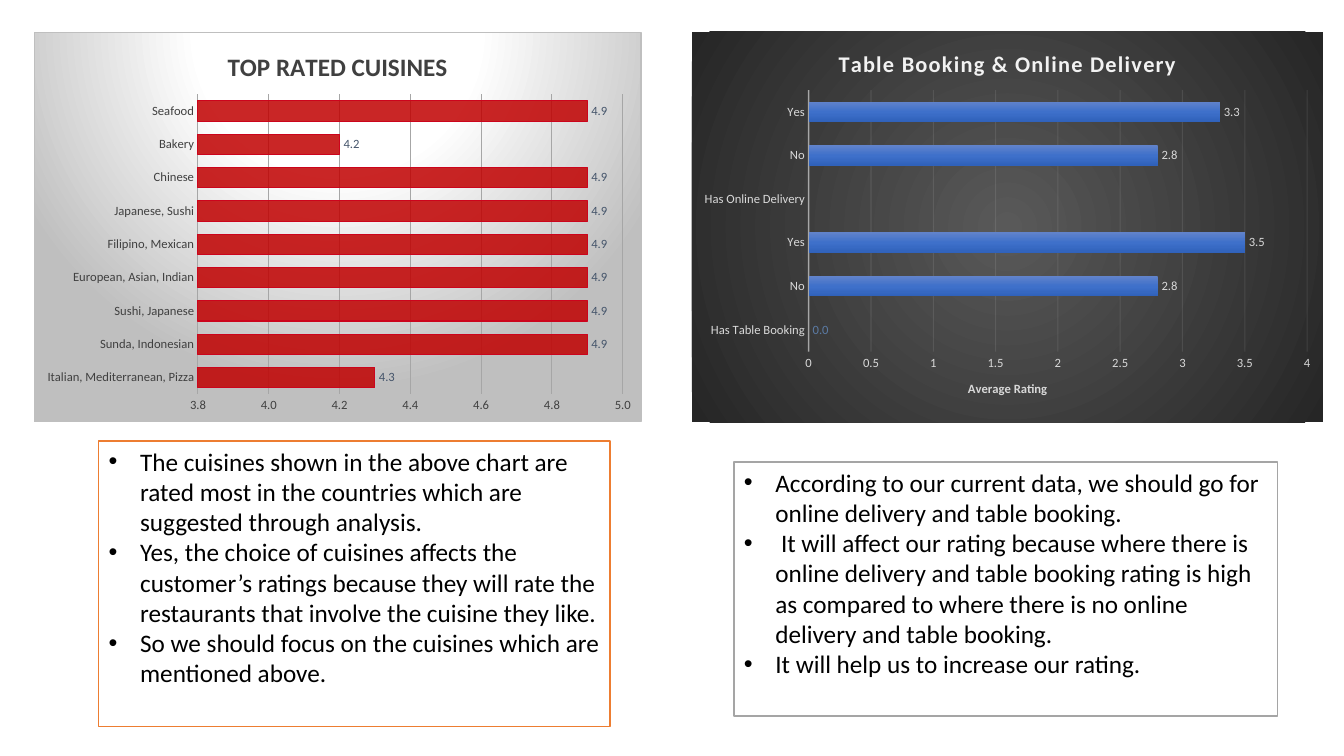
from dataclasses import dataclass
from typing import Optional

from pptx import Presentation
from pptx.chart.axis import CategoryAxis, ValueAxis
from pptx.chart.chart import Chart
from pptx.chart.data import CategoryChartData
from pptx.dml.color import RGBColor
from pptx.enum.chart import XL_CHART_TYPE as ChartType
from pptx.enum.chart import XL_LABEL_POSITION as LabelPosition
from pptx.enum.chart import XL_TICK_MARK as TickMark
from pptx.oxml import parse_xml
from pptx.oxml.ns import nsdecls, qn
from pptx.slide import Slide
from pptx.text.text import Font
from pptx.util import Emu, Pt

EMU_PER_PX = 9525
FONT_NAME = "Calibri"
BLACK = RGBColor(0x00, 0x00, 0x00)
WHITE = RGBColor(0xFF, 0xFF, 0xFF)
CHARCOAL = RGBColor(0x40, 0x40, 0x40)
DARK_GRAY = RGBColor(0x59, 0x59, 0x59)
NEAR_BLACK = RGBColor(0x26, 0x26, 0x26)
GRID_GRAY = RGBColor(0xA6, 0xA6, 0xA6)
BOX_GRAY = RGBColor(0xA5, 0xA5, 0xA5)
SILVER = RGBColor(0xBF, 0xBF, 0xBF)
PALE_GRAY = RGBColor(0xD9, 0xD9, 0xD9)
OFF_WHITE = RGBColor(0xF2, 0xF2, 0xF2)
ORANGE = RGBColor(0xED, 0x7D, 0x31)
SLATE = RGBColor(0x44, 0x54, 0x6A)
STEEL_BLUE = RGBColor(0x5B, 0x7B, 0xA5)
RED = RGBColor(0xC0, 0x00, 0x00)
RED_EDGE = RGBColor(0xCC, 0x04, 0x1C)
LIGHT_BLUE = RGBColor(0x61, 0x83, 0xCB)
BLUE = RGBColor(0x3E, 0x70, 0xCA)
DEEP_BLUE = RGBColor(0x30, 0x62, 0xBB)

Stops = list[tuple[int, RGBColor]]


@dataclass(frozen=True)
class Box:
    left: int
    top: int
    width: int
    height: int

    def emu(self) -> tuple[Emu, ...]:
        return tuple(px(n) for n in (self.left, self.top, self.width, self.height))


@dataclass(frozen=True)
class RatingChart:
    box: Box
    title: str
    title_size: int
    title_color: RGBColor
    title_spacing: int
    ratings: list[tuple[str, Optional[float]]]
    plot_layout: tuple[float, float, float, float]
    scale: tuple[float, float, float]
    axis_format: str
    gap: int
    overlap: int
    text_color: RGBColor
    label_color: RGBColor
    grid_color: RGBColor
    grid_opacity: int
    background: Stops
    focus: tuple[int, int, int, int]


@dataclass(frozen=True)
class Notes:
    box: Box
    border: RGBColor
    bullets: list[str]


CUISINES = RatingChart(
    Box(32, 30, 579, 372), "TOP RATED CUISINES", 18, CHARCOAL, 0,
    [("Italian, Mediterranean, Pizza", 4.3), ("Sunda, Indonesian", 4.9),
     ("Sushi, Japanese", 4.9), ("European, Asian, Indian", 4.9),
     ("Filipino, Mexican", 4.9), ("Japanese, Sushi", 4.9),
     ("Chinese", 4.9), ("Bakery", 4.2), ("Seafood", 4.9)],
    (0.27, 0.16, 0.7, 0.77), (3.8, 5, 0.2), "0.0", 65, 0,
    CHARCOAL, SLATE, GRID_GRAY, 100,
    [(0, WHITE), (39, WHITE), (100, SILVER)], (50, -80, 50, 180))
SERVICES = RatingChart(
    Box(659, 30, 601, 372), "Table Booking & Online Delivery", 16, OFF_WHITE, 100,
    [("Has Table Booking", 0), ("No", 2.8), ("Yes", 3.5),
     ("Has Online Delivery", None), ("No", 2.8), ("Yes", 3.3)],
    (0.185, 0.15, 0.79, 0.67), (0, 4, 0.5), "General", 115, -20,
    PALE_GRAY, PALE_GRAY, OFF_WHITE, 10,
    [(0, DARK_GRAY), (100, NEAR_BLACK)], (50, 50, 50, 50))
NOTES = [
    Notes(Box(94, 420, 487, 272), ORANGE, [
        "The cuisines shown in the above chart are rated most in the countries which are suggested through analysis.",
        "Yes, the choice of cuisines affects the customer’s ratings because they will rate the restaurants that involve the cuisine they like.",
        "So we should focus on the cuisines which are mentioned above."]),
    Notes(Box(699, 440, 518, 242), BOX_GRAY, [
        "According to our current data, we should go for online delivery and table booking.",
        " It will affect our rating because where there is online delivery and table booking rating is high as compared to where there is no online delivery and table booking.",
        "It will help us to increase our rating."]),
]


def px(length: int) -> Emu:
    return Emu(length * EMU_PER_PX)


def style_font(font: Font, size: int, color: RGBColor, bold: bool = False) -> None:
    font.name, font.size, font.bold = FONT_NAME, Pt(size), bold
    font.color.rgb = color


def set_opacity(element, percent: int) -> None:
    for color in element.iter(qn("a:srgbClr")):
        color.append(parse_xml(f'<a:alpha {nsdecls("a")} val="{percent * 1000}"/>'))


def gradient(stops: Stops, direction: str):
    marks = "".join(f'<a:gs pos="{position * 1000}"><a:srgbClr val="{color}"/></a:gs>'
                    for position, color in stops)
    return parse_xml(f'<a:gradFill {nsdecls("a")} rotWithShape="1">'
                     f'<a:gsLst>{marks}</a:gsLst>{direction}</a:gradFill>')


def style_axis(axis: CategoryAxis | ValueAxis, color: RGBColor) -> None:
    axis.major_tick_mark = axis.minor_tick_mark = TickMark.NONE
    style_font(axis.tick_labels.font, 9, color)
    axis.format.line.fill.background()


def set_background(chart: Chart, design: RatingChart) -> None:
    sides = " ".join(f'{side}="{value * 1000}"' for side, value in zip("ltrb", design.focus))
    properties = parse_xml(f'<c:spPr {nsdecls("c", "a")}><a:ln><a:noFill/></a:ln></c:spPr>')
    properties.insert(0, gradient(
        design.background, f'<a:path path="circle"><a:fillToRect {sides}/></a:path>'))
    chart._chartSpace.find(qn("c:chart")).addnext(properties)


def set_plot_layout(chart: Chart, layout: tuple[float, float, float, float]) -> None:
    plot_area = chart._chartSpace.find(qn("c:chart")).find(qn("c:plotArea"))
    for old_layout in plot_area.findall(qn("c:layout")):
        plot_area.remove(old_layout)
    modes = '<c:xMode val="edge"/><c:yMode val="edge"/>'
    values = "".join(f'<c:{name} val="{value}"/>' for name, value in zip("xywh", layout))
    plot_area.insert(0, parse_xml(
        f'<c:layout {nsdecls("c")}><c:manualLayout><c:layoutTarget val="inner"/>'
        f'{modes}{values}</c:manualLayout></c:layout>'))


def add_rating_chart(slide: Slide, design: RatingChart) -> Chart:
    data = CategoryChartData(number_format="0.0")
    data.categories = [name for name, _ in design.ratings]
    data.add_series("Series 1", [rating for _, rating in design.ratings])
    chart = slide.shapes.add_chart(ChartType.BAR_CLUSTERED, *design.box.emu(), data).chart
    style_font(chart.font, 10, BLACK)
    chart.has_legend = False
    chart.has_title = True
    chart.chart_title.include_in_layout = False
    paragraph = chart.chart_title.text_frame.paragraphs[0]
    run = paragraph.add_run()
    run.text = design.title
    style_font(paragraph.font, design.title_size, design.title_color, True)
    style_font(run.font, design.title_size, design.title_color, True)
    run._r.get_or_add_rPr().set("spc", str(design.title_spacing))

    style_axis(chart.category_axis, design.text_color)
    value_axis = chart.value_axis
    style_axis(value_axis, design.text_color)
    value_axis.minimum_scale, value_axis.maximum_scale, value_axis.major_unit = design.scale
    value_axis.tick_labels.number_format = design.axis_format
    value_axis.tick_labels.number_format_is_linked = False
    grid_line = value_axis.major_gridlines.format.line
    grid_line.width = Pt(0.75)
    grid_line.color.rgb = design.grid_color
    set_opacity(value_axis._element.find(qn("c:majorGridlines")), design.grid_opacity)

    plot = chart.plots[0]
    plot.gap_width, plot.overlap, plot.vary_by_categories = design.gap, design.overlap, False
    labels = plot.series[0].data_labels
    labels.show_value = True
    labels.number_format, labels.number_format_is_linked = "0.0", False
    labels.position = LabelPosition.OUTSIDE_END
    style_font(labels.font, 9, design.label_color)
    set_background(chart, design)
    set_plot_layout(chart, design.plot_layout)
    return chart


def finish_cuisines(chart: Chart) -> None:
    border = chart._chartSpace.find(qn("c:spPr")).find(qn("a:ln"))
    border.set("w", str(Pt(0.75)))
    border[:] = [parse_xml(f'<a:solidFill {nsdecls("a")}><a:srgbClr val="{SILVER}"/></a:solidFill>')]
    series = chart.plots[0].series[0]
    series.format.fill.solid()
    series.format.fill.fore_color.rgb = RED
    set_opacity(series._element.find(qn("c:spPr")), 85)
    series.format.line.color.rgb = RED_EDGE
    series.format.line.width = Pt(0.75)


def finish_services(chart: Chart) -> None:
    axis_line = chart.category_axis.format.line
    axis_line.color.rgb, axis_line.width = OFF_WHITE, Pt(1)
    set_opacity(chart.category_axis._element.find(qn("c:spPr")), 54)
    paragraph = chart.value_axis.axis_title.text_frame.paragraphs[0]
    run = paragraph.add_run()
    run.text = "Average Rating"
    style_font(paragraph.font, 9, PALE_GRAY, True)
    style_font(run.font, 9, PALE_GRAY, True)
    series = chart.plots[0].series[0]
    series.format.fill.solid()
    properties = series._element.find(qn("c:spPr"))
    properties.replace(properties.find(qn("a:solidFill")), gradient(
        [(0, LIGHT_BLUE), (50, BLUE), (100, DEEP_BLUE)], '<a:lin ang="5400000" scaled="0"/>'))
    style_font(series.points[0].data_label.font, 9, STEEL_BLUE)
    label = series._element.find(qn("c:dLbls")).find(qn("c:dLbl"))
    label.find(qn("c:idx")).addnext(parse_xml(
        f'<c:numFmt {nsdecls("c")} formatCode="0.0" sourceLinked="0"/>'))


def add_notes(slide: Slide, notes: Notes) -> None:
    shape = slide.shapes.add_textbox(*notes.box.emu())
    shape.fill.solid()
    shape.fill.fore_color.rgb = WHITE
    shape.line.color.rgb, shape.line.width = notes.border, Pt(1)
    frame = shape.text_frame
    frame.word_wrap = True
    for index, text in enumerate(notes.bullets):
        paragraph = frame.add_paragraph() if index else frame.paragraphs[0]
        paragraph.text = text
        style_font(paragraph.font, 18, BLACK)
        properties = paragraph._p.get_or_add_pPr()
        properties.set("marL", str(px(30)))
        properties.set("indent", str(-px(30)))
        properties.insert(0, parse_xml(f'<a:buFont {nsdecls("a")} typeface="Arial"/>'))
        properties.insert(1, parse_xml(f'<a:buChar {nsdecls("a")} char="•"/>'))


def main() -> None:
    presentation = Presentation()
    presentation.slide_width, presentation.slide_height = px(1280), px(720)
    slide = presentation.slides.add_slide(presentation.slide_layouts[6])
    finish_cuisines(add_rating_chart(slide, CUISINES))
    finish_services(add_rating_chart(slide, SERVICES))
    for notes in NOTES:
        add_notes(slide, notes)
    presentation.save("out.pptx")


if __name__ == "__main__":
    main()
